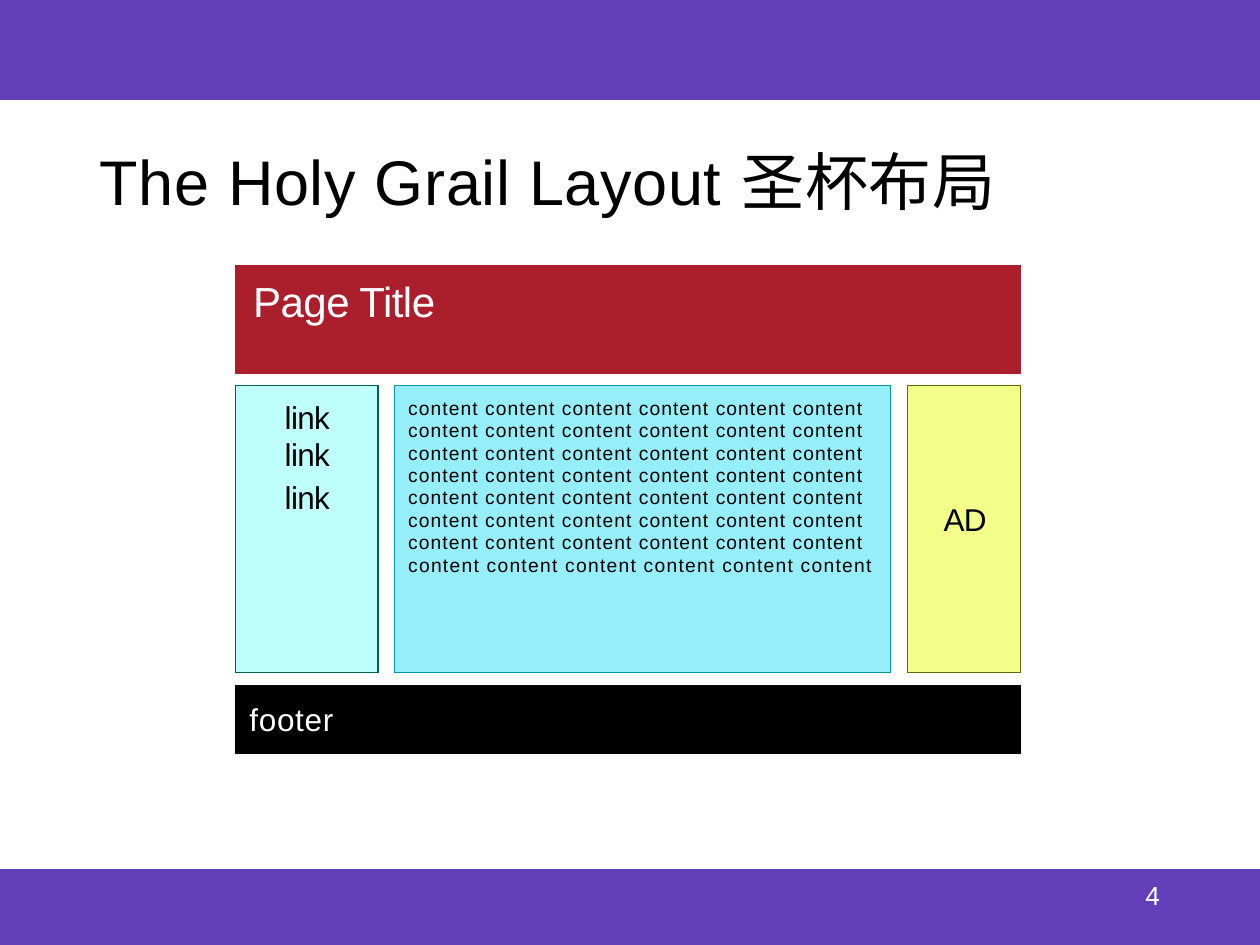
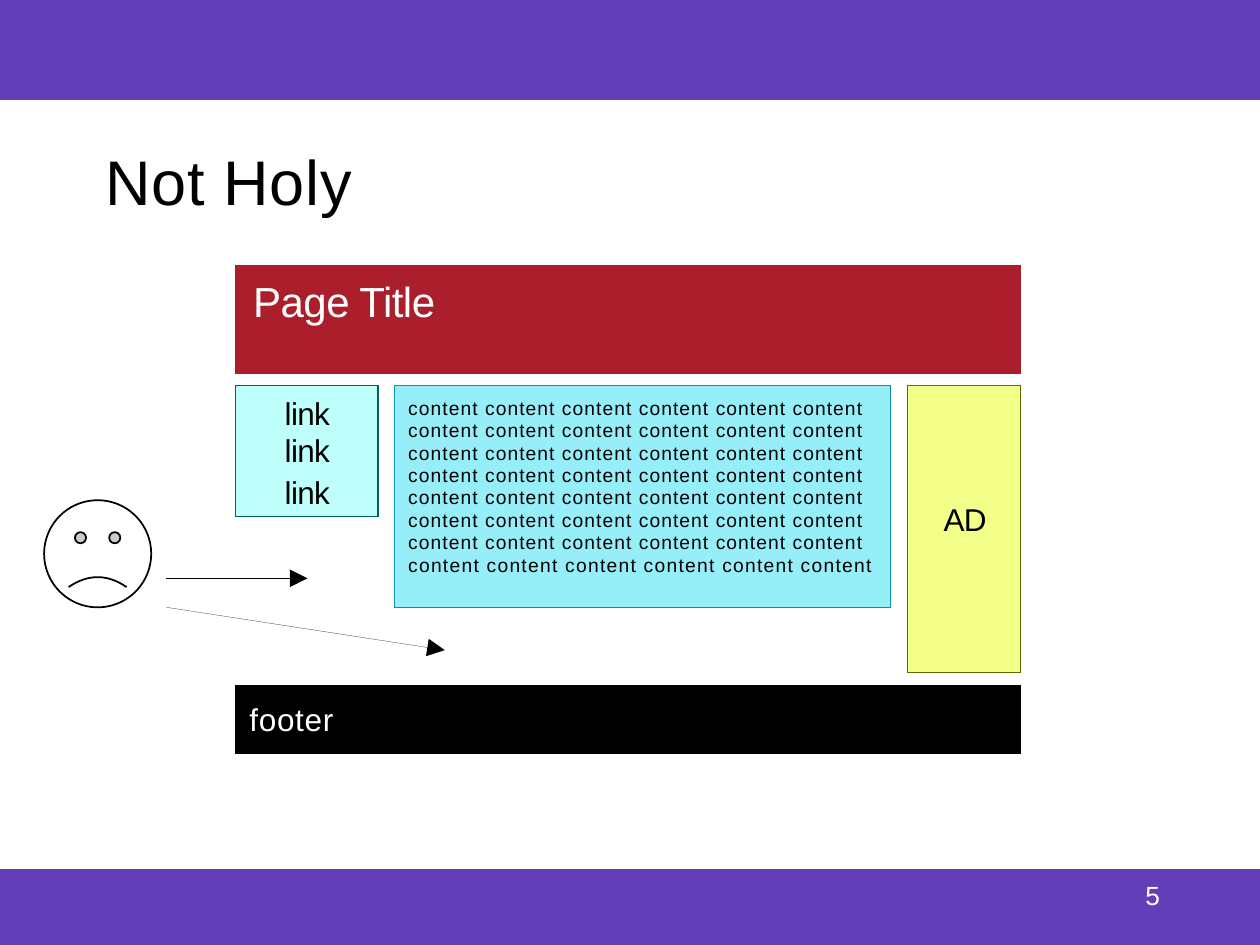
from math import hypot

from lxml.etree import SubElement
from pptx import Presentation
from pptx.dml.color import RGBColor
from pptx.enum.shapes import MSO_CONNECTOR, MSO_SHAPE
from pptx.oxml import parse_xml
from pptx.oxml.ns import nsdecls, qn
from pptx.util import Inches, Pt

FONT = "Arial"
PURPLE = RGBColor(0x62, 0x3F, 0xB8)
RED = RGBColor(0xAB, 0x1F, 0x2D)
BLACK = RGBColor(0x00, 0x00, 0x00)
WHITE = RGBColor(0xFF, 0xFF, 0xFF)
MINT = RGBColor(0xBF, 0xFF, 0xFB)
MINT_EDGE = RGBColor(0x00, 0x60, 0x5A)
SKY = RGBColor(0x96, 0xEE, 0xF9)
SKY_EDGE = RGBColor(0x09, 0x94, 0xA6)
LIME = RGBColor(0xF2, 0xFF, 0x89)
LIME_EDGE = RGBColor(0x5F, 0x6B, 0x00)

PAGE_WIDTH, PAGE_HEIGHT = 10, 7.5
TOP_BAND, BOTTOM_BAND = 0.79, 0.6
LEFT, RIGHT, GAP = 1.87, 8.1, 0.13
COLUMN_TOP, COLUMN_HEIGHT = 3.06, 2.28
LINK_WIDTH, AD_WIDTH = 1.13, 0.9
CONTENT_LEFT = LEFT + LINK_WIDTH + GAP
AD_LEFT = RIGHT - AD_WIDTH
CONTENT_WIDTH = AD_LEFT - GAP - CONTENT_LEFT

CONTENT_SPANS = [
    (" ".join(["content"] * 42) + " ", 0.6),
    (" ".join(["content"] * 6), 0.7),
]
LINKS = ["link", "link", "link"]

SLIDES = [
    {
        "title": "The Holy Grail Layout 圣杯布局", "title_left": 0.79, "title_width": 8.3,
        "number": "4",
        "link_height": COLUMN_HEIGHT, "link_inset": 0.12, "last_link_line": 24.9,
        "content_height": COLUMN_HEIGHT,
        "arrows": [],
    },
    {
        "title": "Not Holy", "title_left": 0.84, "title_width": 2.5,
        "number": "5",
        "link_height": 1.04, "link_inset": 0.09, "last_link_line": 24.3,
        "content_height": 1.76,
        "arrows": [((1.32, 4.59), (2.44, 4.59)), ((1.32, 4.82), (3.53, 5.16))],
    },
]


def write_paragraph(paragraph, spans, size, color):
    paragraph.font.name = FONT
    paragraph.font.size = Pt(size)
    paragraph.font.color.rgb = color
    for text, spacing in spans:
        span = paragraph.add_run()
        span.text = text
        span.font._element.set("spc", str(round(spacing * 100)))


def add_block(page, left, top, width, height, fill, edge, inset=(0, 0)):
    frame = page.shapes.add_table(
        1, 1, Inches(left), Inches(top), Inches(width), Inches(height))
    table = frame.table
    table.first_row = table.horz_banding = False
    cell = table.cell(0, 0)
    cell.margin_left, cell.margin_top = Inches(inset[0]), Inches(inset[1])
    cell.margin_right = cell.margin_bottom = 0
    cell.fill.solid()
    cell.fill.fore_color.rgb = fill
    properties = cell._tc.get_or_add_tcPr()
    for index, side in enumerate(("lnL", "lnR", "lnT", "lnB")):
        properties.insert(index, parse_xml(
            f'<a:{side} {nsdecls("a")} w="{Pt(0.75)}"><a:solidFill>'
            f'<a:srgbClr val="{edge}"/></a:solidFill></a:{side}>'))
    return cell.text_frame


def add_title(page, slide):
    box = page.shapes.add_textbox(
        Inches(slide["title_left"]), Inches(1.13),
        Inches(slide["title_width"]), Inches(0.58))
    frame = box.text_frame
    frame.word_wrap = True
    frame.margin_left = frame.margin_right = frame.margin_top = frame.margin_bottom = 0
    paragraph = frame.paragraphs[0]
    write_paragraph(paragraph, [(slide["title"], 0.4)], 36, BLACK)
    SubElement(paragraph.runs[0].font._element, qn("a:ea"), typeface=FONT)


def add_bands(page, number):
    add_block(page, 0, 0, PAGE_WIDTH, TOP_BAND, PURPLE, PURPLE)
    band = add_block(page, 0, PAGE_HEIGHT - BOTTOM_BAND, PAGE_WIDTH, BOTTOM_BAND,
                     PURPLE, PURPLE, (9.09, 0.1))
    write_paragraph(band.paragraphs[0], [(number, 0)], 15, WHITE)


def add_layout(page, slide):
    header = add_block(page, LEFT, 2.11, RIGHT - LEFT, 0.85, RED, RED, (0.14, 0.11))
    write_paragraph(header.paragraphs[0], [("Page Title", -0.3)], 24, WHITE)

    links = add_block(page, LEFT, COLUMN_TOP, LINK_WIDTH, slide["link_height"],
                      MINT, MINT_EDGE, (0.39, slide["link_inset"]))
    for index, link in enumerate(LINKS):
        paragraph = links.add_paragraph() if index else links.paragraphs[0]
        write_paragraph(paragraph, [(link, -0.4)], 18, BLACK)
    links.paragraphs[1].space_before = Pt(1)
    links.paragraphs[2].line_spacing = Pt(slide["last_link_line"])

    content = add_block(page, CONTENT_LEFT, COLUMN_TOP, CONTENT_WIDTH,
                        slide["content_height"], SKY, SKY_EDGE, (0.11, 0.09))
    write_paragraph(content.paragraphs[0], CONTENT_SPANS, 11, BLACK)
    content.paragraphs[0].line_spacing = Pt(12.8)

    advert = add_block(page, AD_LEFT, COLUMN_TOP, AD_WIDTH, COLUMN_HEIGHT,
                       LIME, LIME_EDGE, (0.29, 0.93))
    write_paragraph(advert.paragraphs[0], [("AD", -0.5)], 18, BLACK)

    footer = add_block(page, LEFT, 5.44, RIGHT - LEFT, 0.54, BLACK, BLACK, (0.11, 0.14))
    write_paragraph(footer.paragraphs[0], [("footer", 0.4)], 18, WHITE)


def add_sad_face(page):
    face = page.shapes.add_shape(
        MSO_SHAPE.SMILEY_FACE, Inches(0.35), Inches(3.97), Inches(0.85), Inches(0.85))
    face.shadow.inherit = False
    face.adjustments[0] = -0.0465
    face.fill.solid()
    face.fill.fore_color.rgb = WHITE
    face.line.color.rgb = BLACK
    face.line.width = Pt(1)


def add_arrow(page, start, tip, length=0.14, half_width=0.07):
    distance = hypot(tip[0] - start[0], tip[1] - start[1])
    across, down = (tip[0] - start[0]) / distance, (tip[1] - start[1]) / distance
    base = tip[0] - length * across, tip[1] - length * down
    shaft = page.shapes.add_connector(
        MSO_CONNECTOR.STRAIGHT, *(Inches(value) for value in (*start, *base)))
    shaft.line.color.rgb = BLACK
    shaft.line.width = Pt(0.1)
    SubElement(shaft._element.spPr, qn("a:effectLst"))

    corners = [(Inches(base[0] - side * down), Inches(base[1] + side * across))
               for side in (half_width, -half_width)]
    builder = page.shapes.build_freeform(Inches(tip[0]), Inches(tip[1]))
    builder.add_line_segments(corners, close=True)
    head = builder.convert_to_shape()
    head.shadow.inherit = False
    head.fill.solid()
    head.fill.fore_color.rgb = BLACK
    head.line.fill.background()


def main():
    deck = Presentation()
    deck.slide_width, deck.slide_height = Inches(PAGE_WIDTH), Inches(PAGE_HEIGHT)
    for slide in SLIDES:
        page = deck.slides.add_slide(deck.slide_layouts[6])
        add_bands(page, slide["number"])
        add_title(page, slide)
        add_layout(page, slide)
        if slide["arrows"]:
            add_sad_face(page)
        for start, tip in slide["arrows"]:
            add_arrow(page, start, tip)
    deck.save("out.pptx")


if __name__ == "__main__":
    main()
